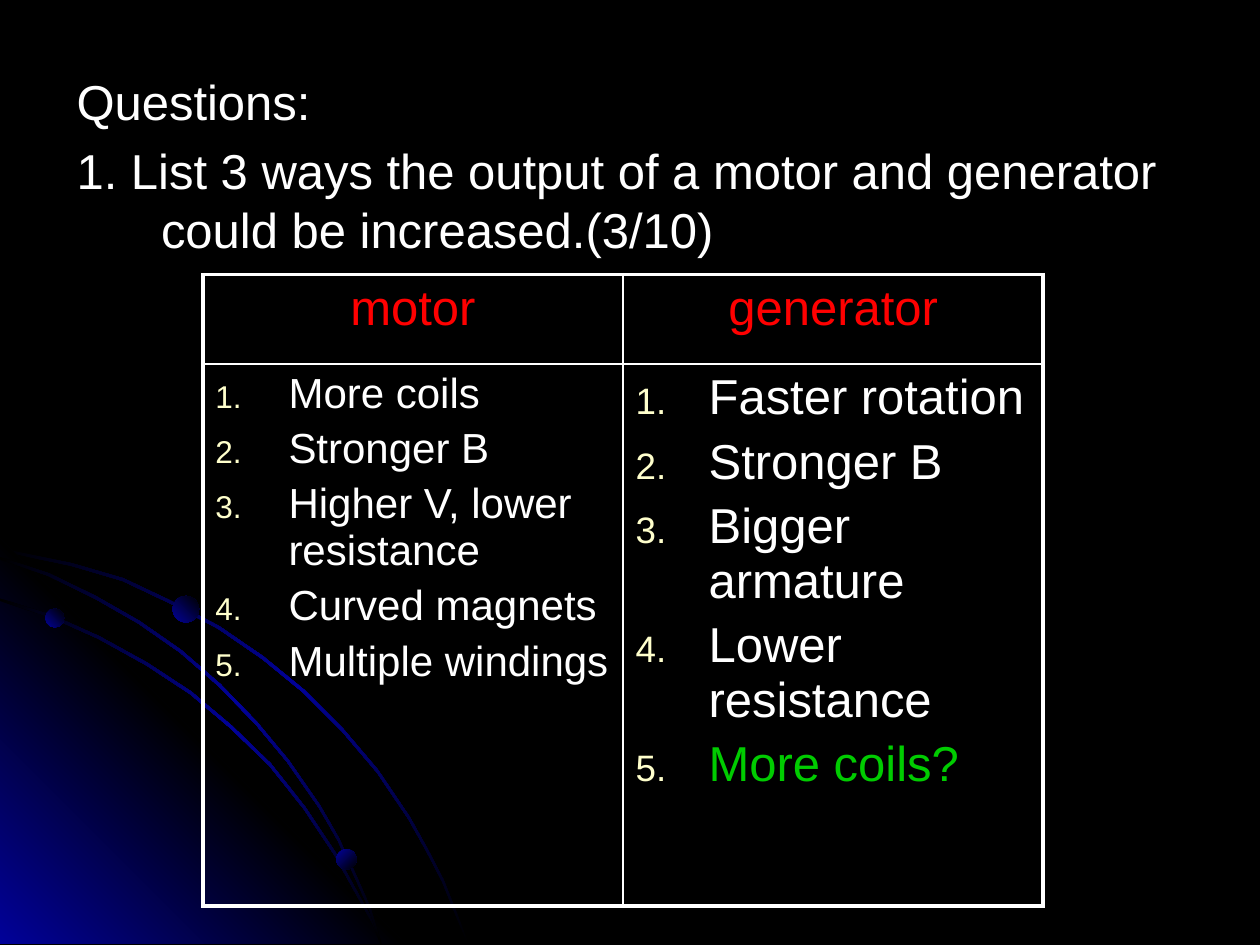
import copy
import pptx
import pptx.dml.color
import pptx.enum.shapes
import pptx.enum.text
import pptx.oxml
import pptx.oxml.ns
import pptx.util

Inches, Pt = pptx.util.Inches, pptx.util.Pt
WHITE, BLACK, BLUE = "FFFFFF", "000000", "010199"
RED, GREEN, CREAM = "FF0000", "00CC00", "FFFFCC"
SPACE = pptx.oxml.ns.nsdecls("a")


def color(text):
    return pptx.dml.color.RGBColor.from_string(text)


def style(para, size, tone, hang=0, marks=()):
    """Set hanging indent (inches), bullet marks and font of a paragraph."""
    props = para._p.get_or_add_pPr()
    if hang:
        props.set("marL", str(Inches(hang)))
        props.set("indent", str(-Inches(hang)))
    for mark in marks:
        props.append(pptx.oxml.parse_xml(mark))
    para.font.name, para.font.size = "Arial", Pt(size)
    para.font.color.rgb = color(tone)


deck = pptx.Presentation()
deck.slide_width, deck.slide_height = Inches(10), Inches(7.5)
slide = deck.slides.add_slide(deck.slide_layouts[6])
slide.background.fill.solid()
slide.background.fill.fore_color.rgb = color(BLACK)
shapes = slide.shapes

# Upper edge of each orbit, in hundredths of an inch
outer = [(0, 435), (28, 441), (57, 447), (98, 459), (136, 477), (174, 497),
         (209, 521), (242, 548), (272, 578), (300, 611), (325, 648),
         (339, 673), (352, 698), (362, 723), (372, 749)]
inner = [(0, 475), (41, 488), (79, 505), (117, 526), (152, 549), (184, 576),
         (215, 606), (242, 640), (266, 676), (286, 712), (296, 730), (303, 749)]
middle = [(0, 442), (39, 455), (76, 473), (111, 493), (144, 516), (175, 543),
          (204, 573), (229, 603), (254, 639), (269, 665), (282, 693),
          (294, 720), (303, 749)]
glow = [(322, 749), (0, 749), (0, 427)]

# An orbit's lower edge is its upper edge moved slightly left and down
FLOOR = 749
bands = []
for edge in (outer, inner, middle):
    lower = [(max(x - 1, 0), min(y + 2, FLOOR)) for x, y in edge]
    bands.append(edge + lower[::-1])

# Corner art, back to front; gradient angles run counter-clockwise
RISE, FALL = 45, 315
ring = [BLACK, BLUE, BLACK]
art = []
for points, tones, angle in [
        (bands[0], ring, FALL), (glow, [BLUE, BLACK, BLUE], RISE),
        (bands[1], ring, FALL), (bands[2], ring, FALL)]:
    pen = shapes.build_freeform(*points[0], scale=Inches(0.01))
    pen.add_line_segments(points[1:], close=True)
    art.append((pen.convert_to_shape(), tones, angle))

for left, top, size, angle in [
        (0.36, 4.83, 0.15, RISE), (2.67, 6.74, 0.16, FALL),
        (1.37, 4.73, 0.21, RISE)]:
    bead = shapes.add_shape(pptx.enum.shapes.MSO_SHAPE.OVAL, Inches(left),
                            Inches(top), Inches(size), Inches(size))
    art.append((bead, [BLUE, BLACK], angle))

# Shade the art with evenly spaced tones
for shape, tones, angle in art:
    shape.shadow.inherit = False
    shape.line.fill.background()
    fill = shape.fill
    fill.gradient()
    fill.gradient_angle = angle
    stops = fill._fill._gradFill.gsLst
    while len(stops) < len(tones):
        stops.append(copy.deepcopy(stops[-1]))
    for i, (stop, tone) in enumerate(zip(fill.gradient_stops, tones)):
        stop.color.rgb = color(tone)
        stop.position = i / (len(tones) - 1)

# Question text
box = shapes.add_textbox(Inches(0.51), Inches(0.52), Inches(9.14), Inches(6.77))
frame = box.text_frame
frame.word_wrap = True
frame.text = ("Questions:\n1. List 3 ways the output of a motor and generator "
              "could be increased.(3/10)")
for para in frame.paragraphs:
    style(para, 28, WHITE, hang=0.67)
frame.paragraphs[1].space_before = Pt(5.6)

# Answer table: heading, list size, answers with their colour
answers = [
    ("motor", 24, [("More coils", WHITE), ("Stronger B", WHITE),
                   ("Higher V, lower resistance", WHITE),
                   ("Curved magnets", WHITE), ("Multiple windings", WHITE)]),
    ("generator", 28, [("Faster rotation", WHITE), ("Stronger B", WHITE),
                       ("Bigger armature", WHITE),
                       ("Lower resistance", WHITE), ("More coils?", GREEN)])]
number = [f'<a:buClr {SPACE}><a:srgbClr val="{CREAM}"/></a:buClr>',
          f'<a:buSzPct {SPACE} val="75000"/>',
          f'<a:buFont {SPACE} typeface="Arial"/>',
          f'<a:buAutoNum {SPACE} type="arabicPeriod"/>']
table = shapes.add_table(2, 2, Inches(1.61), Inches(2.18),
                         Inches(6.67), Inches(5.01)).table
table.first_row = table.horz_banding = False
table.rows[0].height, table.rows[1].height = Inches(0.71), Inches(4.3)

for col, (head, size, items) in enumerate(answers):
    title = table.cell(0, col).text_frame.paragraphs[0]
    title.text = head
    title.alignment = pptx.enum.text.PP_ALIGN.CENTER
    style(title, 28, RED)

    # Numbered answers, one fifth of a line apart
    frame = table.cell(1, col).text_frame
    frame.text = "\n".join(text for text, tone in items)
    for i, (para, (text, tone)) in enumerate(zip(frame.paragraphs, items)):
        if i:
            para.space_before = Pt(size * 0.2)
        style(para, size, tone, hang=0.58, marks=number)

    # Thick outer borders, thin inner ones
    for row in range(2):
        cell = table.cell(row, col)
        props = cell._tc.get_or_add_tcPr()
        for side, thick in [("L", col == 0), ("R", col == 1),
                            ("T", row == 0), ("B", row == 1)]:
            width = Pt(2.25 if thick else 1)
            props.append(pptx.oxml.parse_xml(
                f'<a:ln{side} {SPACE} w="{width}"><a:solidFill>'
                f'<a:srgbClr val="{WHITE}"/></a:solidFill></a:ln{side}>'))
        cell.fill.background()

deck.save("out.pptx")
